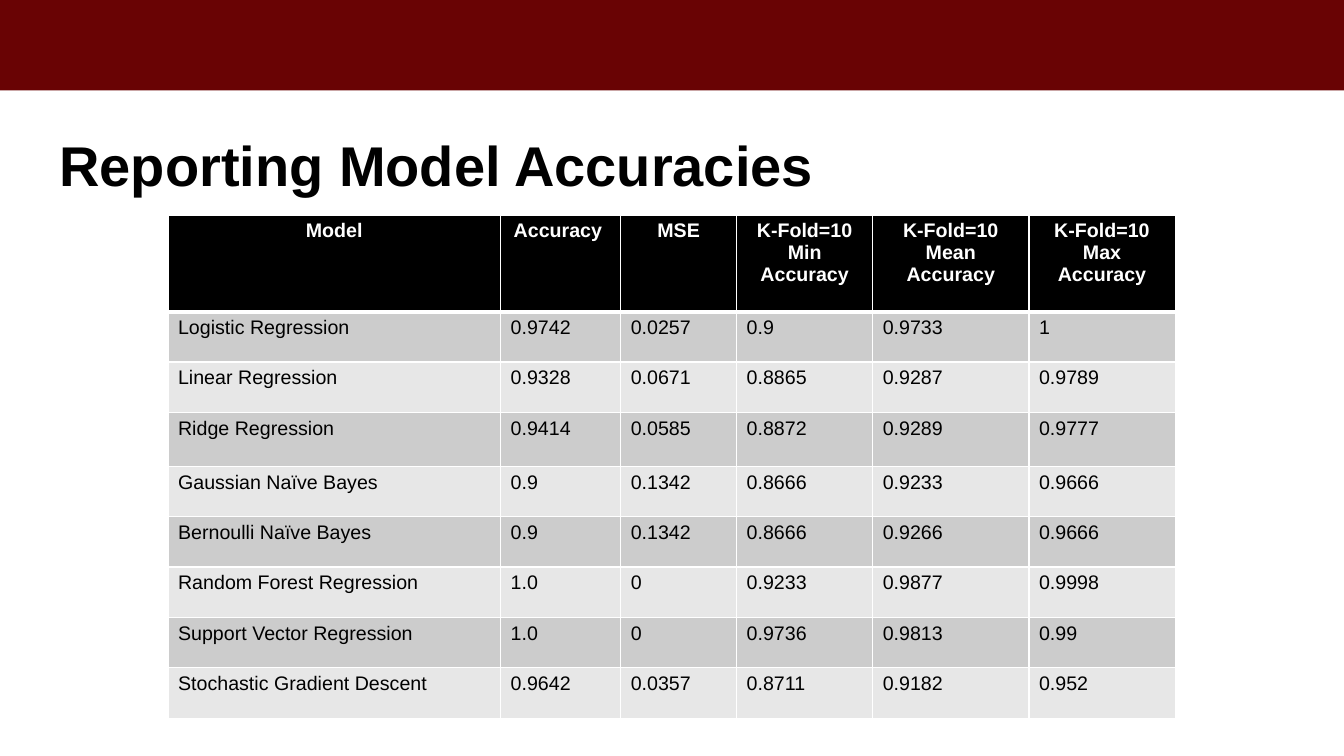
from lxml.etree import SubElement
from pptx import Presentation
from pptx.dml.color import RGBColor
from pptx.enum.shapes import MSO_SHAPE as Shape
from pptx.enum.text import MSO_ANCHOR as Anchor, PP_ALIGN as Align
from pptx.oxml.ns import qn
from pptx.util import Inches, Pt

GRID_COLUMNS, GRID_ROWS = 160, 90
MAROON, BLACK, WHITE = "690304", "000000", "FFFFFF"
BANDS = "CCCCCC", "E7E7E7"

HEADERS = ["Model", "Accuracy ", "MSE", "K-Fold=10\vMin Accuracy",
           "K-Fold=10\vMean Accuracy", "K-Fold=10\vMax Accuracy"]
RESULTS = [
    ["Logistic Regression", "0.9742", "0.0257", "0.9", "0.9733", "1"],
    ["Linear Regression", "0.9328", "0.0671", "0.8865", "0.9287", "0.9789"],
    ["Ridge Regression", "0.9414", "0.0585", "0.8872", "0.9289", "0.9777"],
    ["Gaussian Naïve Bayes", "0.9", "0.1342", "0.8666", "0.9233", "0.9666"],
    ["Bernoulli Naïve Bayes", "0.9", "0.1342", "0.8666", "0.9266", "0.9666"],
    ["Random Forest Regression", "1.0", "0", "0.9233", "0.9877", "0.9998"],
    ["Support Vector Regression", "1.0", "0", "0.9736", "0.9813", "0.99"],
    ["Stochastic Gradient Descent", "0.9642", "0.0357", "0.8711", "0.9182", "0.952"],
]
COLUMN_WIDTHS = [39.6, 14.3, 13.8, 16.2, 18.6, 17.4]
ROW_HEIGHTS = [11.5, 6, 6, 6.4, 6, 6, 6, 6, 6]


def color(value):
    return RGBColor.from_string(value)


class SlideBuilder:
    """Holds the style and the slide; places are given in grid columns and rows."""

    def __init__(self, presentation, font_name="Arial"):
        self.slide = presentation.slides.add_slide(presentation.slide_layouts[6])
        self.font_name = font_name
        self.column = presentation.slide_width / GRID_COLUMNS
        self.row = presentation.slide_height / GRID_ROWS

    def place(self, left, top, width, height):
        return (round(left * self.column), round(top * self.row),
                round(width * self.column), round(height * self.row))

    def format_text(self, text_frame, size, text_color, bold, align=Align.LEFT):
        for paragraph in text_frame.paragraphs:
            paragraph.alignment = align
            for run in paragraph.runs:
                run.font.name = self.font_name
                run.font.size = Pt(size)
                run.font.bold = bold
                run.font.color.rgb = color(text_color)

    def band(self, *area, fill):
        shape = self.slide.shapes.add_shape(Shape.RECTANGLE, *self.place(*area))
        shape.shadow.inherit = False
        shape.fill.solid()
        shape.fill.fore_color.rgb = color(fill)
        shape.line.fill.background()

    def title(self, text, *area):
        text_frame = self.slide.shapes.add_textbox(*self.place(*area)).text_frame
        text_frame.word_wrap = True
        text_frame.vertical_anchor = Anchor.MIDDLE
        text_frame.text = text
        text_frame.paragraphs[0].line_spacing = 0.9
        self.format_text(text_frame, 40, BLACK, True)

    def border(self, cell, side, points):
        line = SubElement(cell._tc.get_or_add_tcPr(), qn(f"a:ln{side}"), w=str(Pt(points)))
        fill = SubElement(line, qn("a:solidFill"))
        SubElement(fill, qn("a:srgbClr"), val=WHITE)

    def cell(self, cell, text, row_index):
        """Fill and format a cell by its row: header, or one of two bands."""
        header = row_index == 0
        widths = {"L": 1, "R": 1, "T": 3 if row_index == 1 else 1, "B": 3 if header else 1}
        for side, points in widths.items():
            self.border(cell, side, points)
        cell.fill.solid()
        cell.fill.fore_color.rgb = color(BLACK if header else BANDS[(row_index - 1) % 2])
        cell.text_frame.text = text
        self.format_text(cell.text_frame, 14, WHITE if header else BLACK, header,
                         Align.CENTER if header else Align.LEFT)

    def table(self, left, top, widths, heights, rows):
        area = self.place(left, top, sum(widths), sum(heights))
        table = self.slide.shapes.add_table(len(rows), len(widths), *area).table
        for table_column, width in zip(table.columns, widths):
            table_column.width = round(width * self.column)
        for row_index, (texts, height) in enumerate(zip(rows, heights)):
            table.rows[row_index].height = round(height * self.row)
            for column_index, text in enumerate(texts):
                self.cell(table.cell(row_index, column_index), text, row_index)


def main():
    presentation = Presentation()
    presentation.slide_width, presentation.slide_height = Inches(13.33), Inches(7.5)
    builder = SlideBuilder(presentation)
    builder.band(-1, -0.24, 162, 11, fill=MAROON)
    builder.title("Reporting Model Accuracies", 5.9, 13.2, 93.7, 13.7)
    builder.table(20, 25.6, COLUMN_WIDTHS, ROW_HEIGHTS, [HEADERS, *RESULTS])
    presentation.save("out.pptx")


if __name__ == "__main__":
    main()
